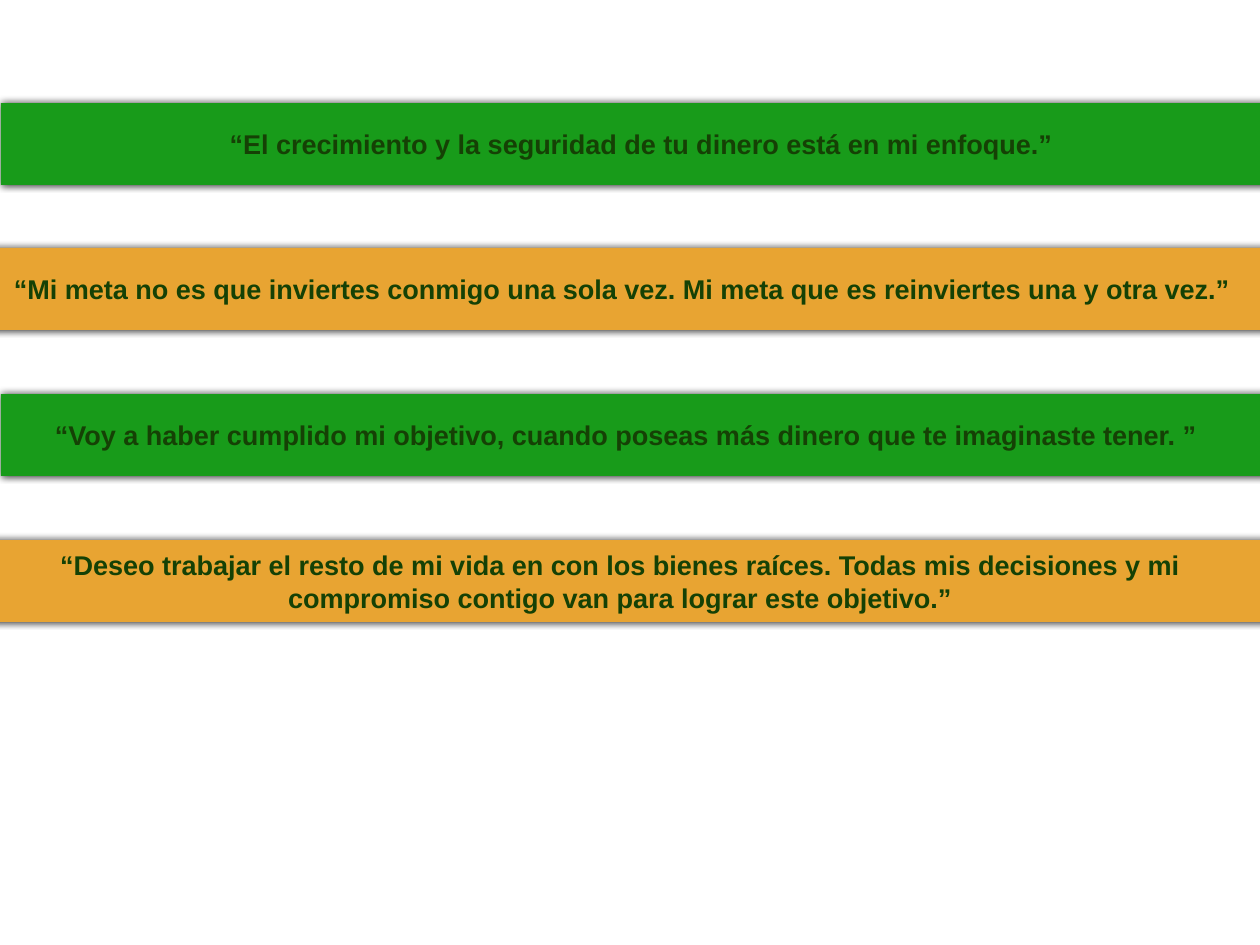
from lxml import etree
from pptx import Presentation
from pptx import util as u
from pptx.dml import color
from pptx.enum import shapes, text
from pptx.oxml import ns

PX = 10320
GREEN, AMBER, INK, WHITE = "189B1A", "E8A432", "154105", "FFFFFF"
QUOTES = [
    ("“El crecimiento y la seguridad de tu dinero está en mi enfoque.”", 3),
    ("“Mi meta no es que inviertes conmigo una sola vez. "
     "Mi meta que es reinviertes una y otra vez.”", -16),
    ("“Voy a haber cumplido mi objetivo, cuando poseas más dinero "
     "que te imaginaste tener. ”", -12),
    ("“Deseo trabajar el resto de mi vida en con los bienes raíces. "
     "Todas mis decisiones y mi compromiso contigo van para lograr "
     "este objetivo.”", -18),
]


def rgb(code):
    """Turn a hex string into a colour."""
    return color.RGBColor.from_string(code)


def place(*box):
    """Turn whole pixels into EMU."""
    return [u.Emu(n * PX) for n in box]


def shade(shape, blur=6, alpha=80):
    """Give a shape a soft black shadow all around."""
    shape.shadow.inherit = False
    glow = shape._element.spPr.find(ns.qn("a:effectLst"))
    outer = etree.SubElement(glow, ns.qn("a:outerShdw"), blurRad=str(u.Pt(blur)),
                             dist="0", dir="18900000", rotWithShape="0")
    black = etree.SubElement(outer, ns.qn("a:srgbClr"), val="000000")
    etree.SubElement(black, ns.qn("a:alpha"), val=str(alpha * 1000))


def write(slide, box, words, size=22, ink=INK, bold=True, font="Arial"):
    """Write centred text in the given box."""
    frame = slide.shapes.add_textbox(*place(*box)).text_frame
    frame.word_wrap = True
    frame.vertical_anchor = text.MSO_ANCHOR.MIDDLE
    frame.margin_left = frame.margin_right = u.Inches(0.06)
    frame.margin_top = frame.margin_bottom = u.Inches(0.06)
    para = frame.paragraphs[0]
    para.text = words
    para.alignment = text.PP_ALIGN.CENTER
    para.font.size, para.font.bold, para.font.name = u.Pt(size), bold, font
    para.font.color.rgb = rgb(ink)


def band(slide, box, fill):
    """Draw one plain bar with a shadow."""
    bar = slide.shapes.add_shape(shapes.MSO_SHAPE.RECTANGLE, *place(*box))
    bar.fill.solid()
    bar.fill.fore_color.rgb = rgb(fill)
    bar.line.fill.background()
    shade(bar)


def quotes(slide, box, tall=82):
    """Spread the quotes evenly down the box on bars of two colours."""
    left, top, wide, high = box
    for i, (words, shift) in enumerate(QUOTES):
        y = top + i * (high - tall) // (len(QUOTES) - 1)
        inset, fill = ((1, GREEN), (-14, AMBER))[i % 2]
        band(slide, (left + inset, y, wide + 27, tall), fill)
        write(slide, (left + shift, y, wide + 16, tall), words)


def main():
    """Build the slide and save it."""
    deck = Presentation()
    deck.slide_width, deck.slide_height = place(1260, 945)
    slide = deck.slides.add_slide(deck.slide_layouts[6])
    slide.background.fill.solid()
    slide.background.fill.fore_color.rgb = rgb(WHITE)
    quotes(slide, (0, 103, 1260, 519))
    deck.save("out.pptx")


if __name__ == "__main__":
    main()
